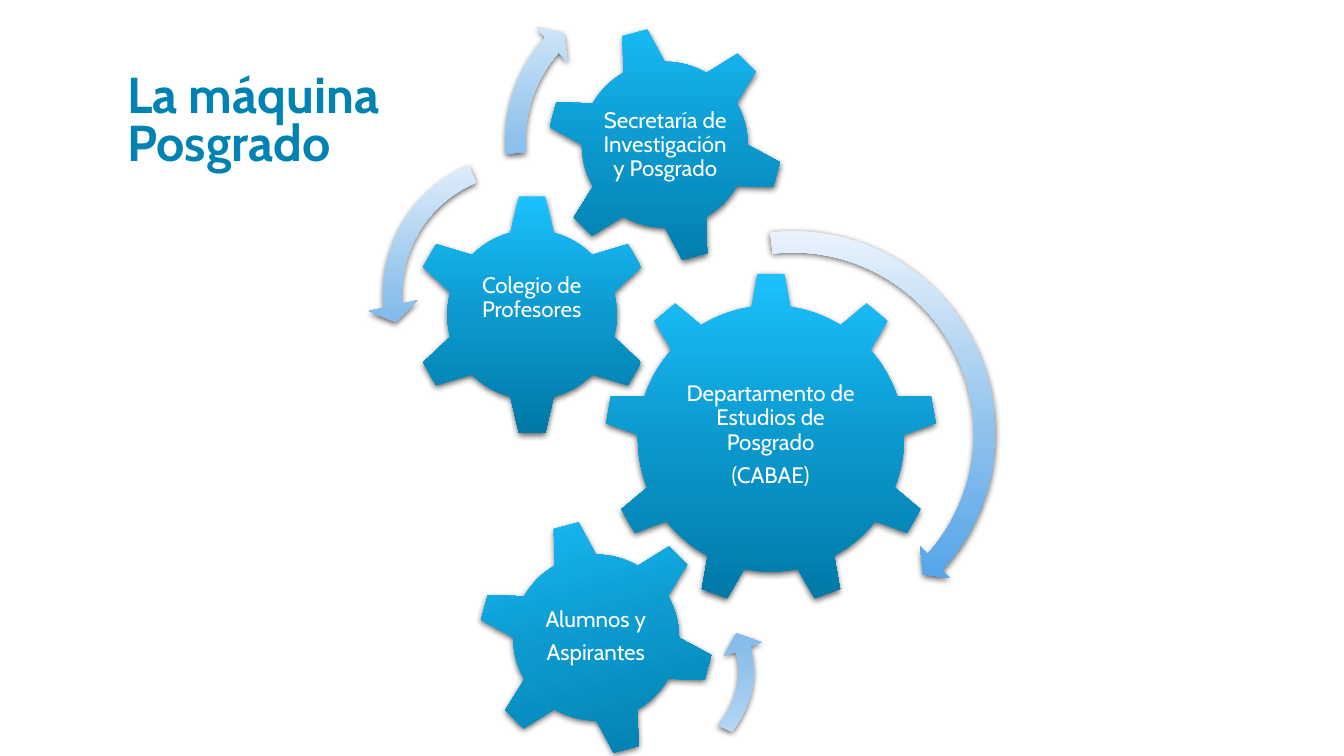
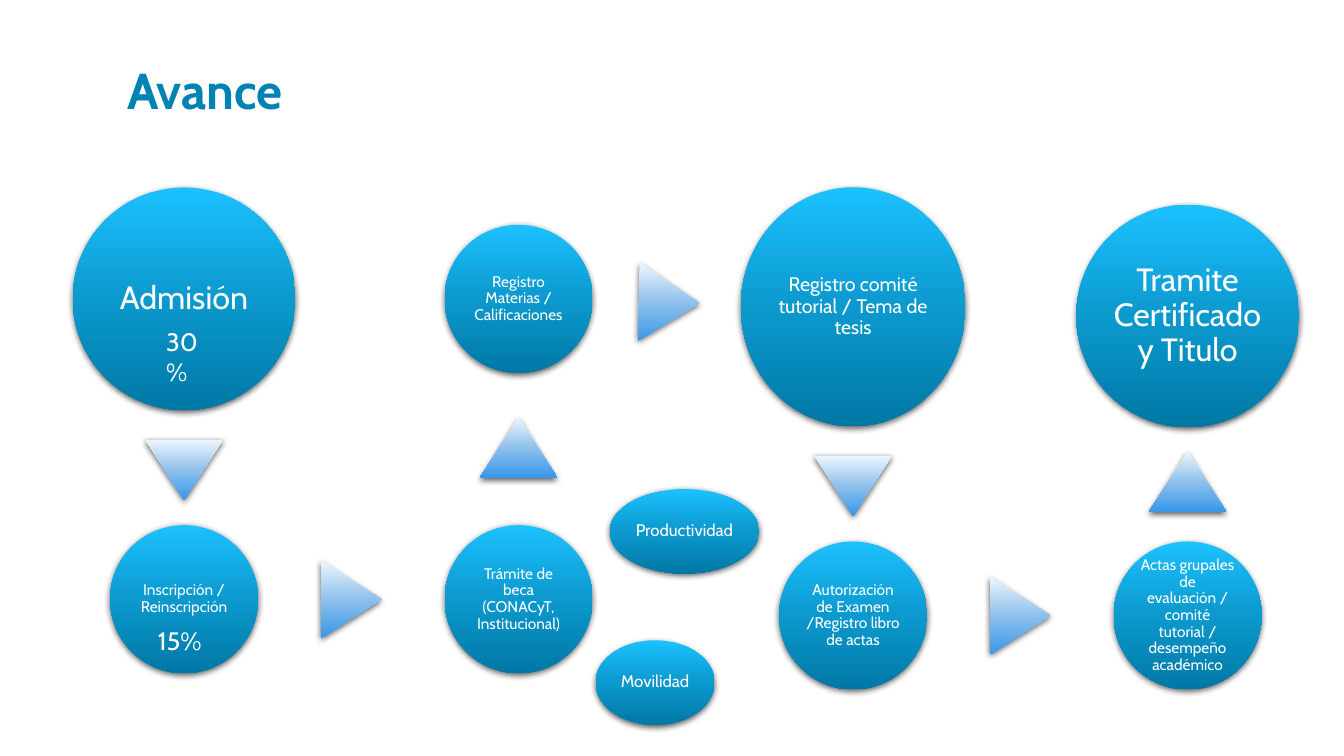
from pptx import Presentation
from pptx import util as u
from pptx.dml.color import RGBColor
from pptx.enum import shapes, text
from pptx.oxml import parse_xml
from pptx.oxml.ns import nsdecls, qn

KIND = shapes.MSO_SHAPE
TITLE_SIZE = 36
FONT = "Cabin"
TITLE_COLOUR = "0083B3"
WHITE = "FFFFFF"
DEEP = ("1BC1FF", "0C99CE", "0078A5")
PALE = ("EEF6FD", "8FC1EC", "3797E8")


def colour(code):
    return RGBColor.from_string(code)


def assign(target, values):
    for name, value in values.items():
        setattr(target, name, value)


class Builder:
    """Holds the deck, its style and the current page."""

    def __init__(self):
        self.deck = Presentation()
        assign(self.deck, {"slide_width": u.Cm(33.87), "slide_height": u.Cm(19.05)})
        style = self.deck.slide_master.element.find(".//" + qn("p:titleStyle"))
        style.find(".//" + qn("a:defRPr")).set("sz", str(TITLE_SIZE * 100))
        self.page = None

    def new_page(self, title, top):
        self.page = self.deck.slides.add_slide(self.deck.slide_layouts[5])
        box = self.page.shapes.title
        assign(box, {"left": u.Cm(2.95), "top": u.Cm(top),
                     "width": u.Cm(24.13), "height": u.Cm(2.97)})
        assign(box.text_frame, {"vertical_anchor": text.MSO_ANCHOR.BOTTOM,
                                "auto_size": text.MSO_AUTO_SIZE.NONE})
        self.put_text(box, [title], TITLE_SIZE, TITLE_COLOUR, bold=True,
                      alignment=text.PP_ALIGN.LEFT, line_spacing=0.8)

    def put_text(self, box, lines, size, ink=WHITE, bold=False, **layout):
        frame = box.text_frame
        for index, line in enumerate(lines):
            para = frame.paragraphs[0] if index == 0 else frame.add_paragraph()
            para.text = line
            assign(para, layout)
            for span in para.runs:
                assign(span.font, {"name": FONT, "size": u.Pt(size), "bold": bold})
                span.font.color.rgb = colour(ink)

    def label(self, box, lines, size):
        """Centred white text with narrow margins."""
        margins = {"margin_" + side: u.Cm(0.05)
                   for side in ("left", "top", "right", "bottom")}
        assign(box.text_frame, {"word_wrap": True, **margins,
                                "vertical_anchor": text.MSO_ANCHOR.MIDDLE})
        self.put_text(box, lines, size, alignment=text.PP_ALIGN.CENTER,
                      line_spacing=0.9, space_after=u.Pt(0.4 * size))

    def text_box(self, left, top, width, height):
        return self.page.shapes.add_textbox(*map(u.Cm, (left, top, width, height)))

    def shape(self, kind, left, top, width, height, shades, rotation=0, turn=False):
        """Shape with a vertical gradient and a soft shadow; turn rotates the gradient."""
        shape = self.page.shapes.add_shape(kind, *map(u.Cm, (left, top, width, height)))
        shape.rotation = rotation
        shape.line.fill.background()
        shape.fill.gradient()
        old = shape._element.spPr.find(qn("a:gradFill"))
        stops = "".join(f'<a:gs pos="{pos}"><a:srgbClr val="{colour(shade)}"/></a:gs>'
                        for pos, shade in zip((0, 50000, 100000), shades))
        old.getparent().replace(old, parse_xml(
            f'<a:gradFill {nsdecls("a")} rotWithShape="{int(turn)}"><a:gsLst>{stops}'
            '</a:gsLst><a:lin ang="5400000" scaled="0"/></a:gradFill>'))
        shape.shadow.inherit = False
        shape._element.spPr.find(qn("a:effectLst")).append(parse_xml(
            f'<a:outerShdw {nsdecls("a")} blurRad="{u.Pt(4.5)}" dist="{u.Pt(1.5)}" '
            'dir="5400000" rotWithShape="0"><a:srgbClr val="000000">'
            '<a:alpha val="63000"/></a:srgbClr></a:outerShdw>'))
        return shape

    def gear(self, kind, left, top, size, lines, label_at, rotation=0, turn=False):
        self.shape(kind, left, top, size, size, DEEP, rotation, turn)
        self.label(self.text_box(*label_at), lines, 16)

    def bent_arrow(self, kind, place, adjustments, rotation=0, turn=False):
        arrow = self.shape(kind, *place, PALE, rotation, turn)
        for index, value in enumerate(adjustments):
            arrow.adjustments[index] = value

    def bubble(self, x, y, width, height, line, size):
        """Ellipse centred on x, y."""
        oval = self.shape(KIND.OVAL, x - width / 2, y - height / 2, width, height, DEEP)
        self.label(oval, [line], size)

    def pointer(self, x, y, rotation):
        """Triangle centred on x, y."""
        width, height = 1.96, 1.52
        self.shape(KIND.ISOSCELES_TRIANGLE, x - width / 2, y - height / 2,
                   width, height, PALE, rotation)

    def percentage(self, left, top, value):
        box = self.text_box(left, top, 1.75, 1.02)
        assign(box.text_frame, {"word_wrap": False,
                                "auto_size": text.MSO_AUTO_SIZE.SHAPE_TO_FIT_TEXT})
        self.put_text(box, [value], 18)


def machine_page(builder):
    builder.new_page("La máquina\nPosgrado", 1.47)

    # Gears
    builder.gear(KIND.GEAR_9, 15.24, 6.86, 8.38,
                 ["Departamento de Estudios de Posgrado", "(CABAE)"],
                 (16.92, 8.81, 5, 4.32))
    builder.gear(KIND.GEAR_6, 10.36, 4.88, 6.1, ["Colegio de Profesores"],
                 (11.89, 6.02, 3.02, 3))
    builder.gear(KIND.GEAR_6, 13.77, 0.66, 5.97,
                 ["Secretaría de Investigación y Posgrado"],
                 (15.09, 1.98, 3.35, 3.35), 345)
    builder.gear(KIND.GEAR_6, 12.04, 13.08, 5.97, ["Alumnos y", "Aspirantes"],
                 (13.34, 14.38, 3.35, 3.35), 345, turn=True)

    # Arrows around the gears
    right, left = KIND.CIRCULAR_ARROW, KIND.LEFT_CIRCULAR_ARROW
    builder.bent_arrow(right, (14.63, 5.56, 10.72, 10.72), (0.05, 2.99, 25.4, 158.1, 0.05))
    builder.bent_arrow(left, (9.27, 3.51, 7.8, 7.8), (0.06, 4.3, 104.89, 148.38, 0.08))
    builder.bent_arrow(right, (12.4, -0.66, 8.41, 8.41), (0.06, 3.94, 133.14, 105.08, 0.07))
    builder.bent_arrow(left, (11.51, 14, 7.8, 6.22), (0.06, 4.3, 104.89, 126.73, 0.08),
                       172.3, turn=True)


def progress_page(builder):
    builder.new_page("Avance", 0.15)

    def column(number):
        return 4.64 + 8.43 * number

    # Steps: column, centre height, width, height, text, text size
    small, large = (3.73, 3.73), (5.61, 5.61)
    steps = [
        (0, 7.53, *large, "Admisión", 23),
        (0, 15.1, *small, "Inscripción / Reinscripción", 11),
        (1, 15.1, *small, "Trámite de beca (CONACyT, Institucional)", 11),
        (1, 7.53, *small, "Registro Materias / Calificaciones", 11),
        (2, 7.73, 5.66, 6.02, "Registro comité tutorial / Tema de tesis", 14),
        (2, 15.51, *small, "Autorización de Examen /Registro libro de actas", 11),
        (3, 15.51, *small, "Actas grupales de evaluación / comité tutorial / "
                           "desempeño académico", 11),
        (3, 7.96, *large, "Tramite Certificado y Titulo", 23),
    ]
    for number, *step in steps:
        builder.bubble(column(number), *step)

    # Pointers between steps: column, centre height, rotation
    for number, y, rotation in [(0, 11.84, 180), (0.5, 15.1, 90), (1, 11.28, 0),
                                (1.45, 7.62, 91.4), (2, 12.24, 180),
                                (2.5, 15.51, 90), (3, 12.14, 0)]:
        builder.pointer(column(number), y, rotation)

    # Side activities
    builder.bubble(16.51, 17.2, 3, 2.13, "Movilidad", 12)
    builder.bubble(17.25, 13.39, 3.76, 2.13, "Productividad", 12)

    # Percentages
    builder.percentage(3.94, 8.1, "30%")
    builder.percentage(3.73, 15.62, "15%")


def main():
    builder = Builder()
    machine_page(builder)
    progress_page(builder)
    builder.deck.save("out.pptx")


if __name__ == "__main__":
    main()
